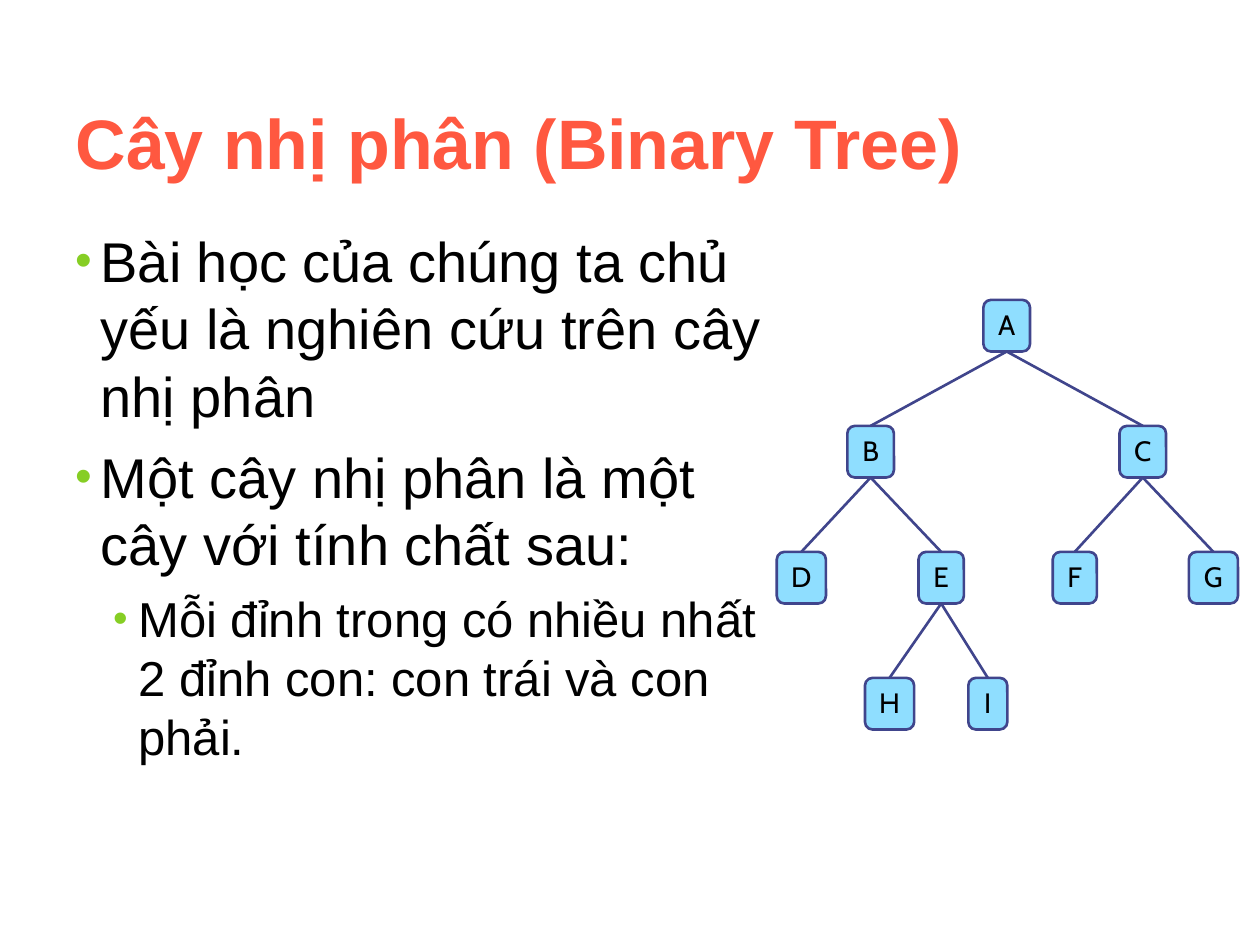
from dataclasses import dataclass

from lxml.etree import SubElement
from pptx import Presentation
from pptx.dml.color import RGBColor
from pptx.enum.shapes import MSO_CONNECTOR as Connector, MSO_SHAPE as Shape
from pptx.enum.text import MSO_ANCHOR as Anchor, PP_ALIGN as Align
from pptx.oxml.ns import qn
from pptx.slide import Slide
from pptx.text.text import _Paragraph as Paragraph
from pptx.util import Inches, Pt

COLORS = {
    "title": "FF5840",
    "text": "000000",
    "bullet": "86CE24",
    "node": "8FDEFF",
    "line": "40458C",
}
NODE_HEIGHT = 0.41
CORNER_RADIUS = 0.06
ROOT_TOP = 2.38
LEVEL_STEP = 1.0


@dataclass(frozen=True)
class Node:
    label: str
    center: float
    level: int
    width: float
    parent: str = ""

    @property
    def top(self) -> float:
        return ROOT_TOP + self.level * LEVEL_STEP


@dataclass(frozen=True)
class Bullet:
    text: str
    level: int
    size: int
    space_before: int
    margin: float


NODES = [
    Node("A", 7.99, 0, 0.37),
    Node("B", 6.91, 1, 0.37, "A"),
    Node("C", 9.07, 1, 0.37, "A"),
    Node("D", 6.36, 2, 0.39, "B"),
    Node("E", 7.47, 2, 0.36, "B"),
    Node("F", 8.53, 2, 0.35, "C"),
    Node("G", 9.63, 2, 0.39, "C"),
    Node("H", 7.06, 3, 0.39, "E"),
    Node("I", 7.84, 3, 0.31, "E"),
]

BULLETS = [
    Bullet("Bài học của chúng ta chủ yếu là nghiên cứu trên cây nhị phân", 0, 32, 8, 0.2),
    Bullet("Một cây nhị phân là một cây với tính chất sau:", 0, 32, 8, 0.2),
    Bullet("Mỗi đỉnh trong có nhiều nhất 2 đỉnh con: con trái và con phải.", 1, 28, 7, 0.5),
]


def color(name: str) -> RGBColor:
    return RGBColor.from_string(COLORS[name])


def add_run(paragraph: Paragraph, text: str, size: int, font: str, ink: str, bold: bool = False) -> None:
    run = paragraph.add_run()
    run.text = text
    run.font.name = font
    run.font.size = Pt(size)
    run.font.bold = bold
    run.font.color.rgb = color(ink)


def add_title(slide: Slide, text: str) -> None:
    title = slide.shapes.title
    title.left, title.top = Inches(0.5), Inches(0.58)
    title.width, title.height = Inches(9), Inches(1.08)
    title.text_frame.vertical_anchor = Anchor.MIDDLE
    paragraph = title.text_frame.paragraphs[0]
    paragraph.alignment = Align.LEFT
    add_run(paragraph, text, 40, "Arial", "title", bold=True)


def format_bullet(paragraph: Paragraph, margin: float) -> None:
    properties = paragraph._p.get_or_add_pPr()
    properties.set("marL", str(Inches(margin)))
    properties.set("indent", str(Inches(-0.2)))
    bullet_color = SubElement(properties, qn("a:buClr"))
    SubElement(bullet_color, qn("a:srgbClr"), val=COLORS["bullet"])
    SubElement(properties, qn("a:buSzPct"), val="85000")
    SubElement(properties, qn("a:buFont"), typeface="Arial")
    SubElement(properties, qn("a:buChar"), char="•")


def add_bullets(slide: Slide, bullets: list[Bullet]) -> None:
    box = slide.shapes.add_textbox(Inches(0.5), Inches(1.75), Inches(5.75), Inches(5.33))
    frame = box.text_frame
    frame.word_wrap = True
    for index, bullet in enumerate(bullets):
        paragraph = frame.add_paragraph() if index else frame.paragraphs[0]
        paragraph.level = bullet.level
        paragraph.space_before = Pt(bullet.space_before)
        format_bullet(paragraph, bullet.margin)
        add_run(paragraph, bullet.text, bullet.size, "Arial", "text")


def add_node(slide: Slide, node: Node) -> None:
    shape = slide.shapes.add_shape(
        Shape.ROUNDED_RECTANGLE,
        Inches(node.center - node.width / 2),
        Inches(node.top),
        Inches(node.width),
        Inches(NODE_HEIGHT),
    )
    shape.adjustments[0] = CORNER_RADIUS / node.width
    shape.shadow.inherit = False
    shape.fill.solid()
    shape.fill.fore_color.rgb = color("node")
    shape.line.color.rgb = color("line")
    shape.line.width = Pt(1.5)
    frame = shape.text_frame
    frame.word_wrap = False
    frame.vertical_anchor = Anchor.MIDDLE
    paragraph = frame.paragraphs[0]
    paragraph.alignment = Align.CENTER
    paragraph.line_spacing = 0.93
    add_run(paragraph, node.label, 16, "Cabin", "text")


def add_edge(slide: Slide, parent: Node, child: Node) -> None:
    edge = slide.shapes.add_connector(
        Connector.STRAIGHT,
        Inches(parent.center),
        Inches(parent.top + NODE_HEIGHT),
        Inches(child.center),
        Inches(child.top),
    )
    edge.line.color.rgb = color("line")
    edge.line.width = Pt(1.5)
    SubElement(edge._element.spPr, qn("a:effectLst"))


def main() -> None:
    """Build the slide about binary trees."""
    presentation = Presentation()
    presentation.slide_width, presentation.slide_height = Inches(10), Inches(7.5)
    slide = presentation.slides.add_slide(presentation.slide_layouts[5])
    add_title(slide, "Cây nhị phân (Binary Tree)")
    add_bullets(slide, BULLETS)
    nodes = {node.label: node for node in NODES}
    for node in NODES:
        add_node(slide, node)
        if node.parent:
            add_edge(slide, nodes[node.parent], node)
    presentation.save("out.pptx")


if __name__ == "__main__":
    main()
